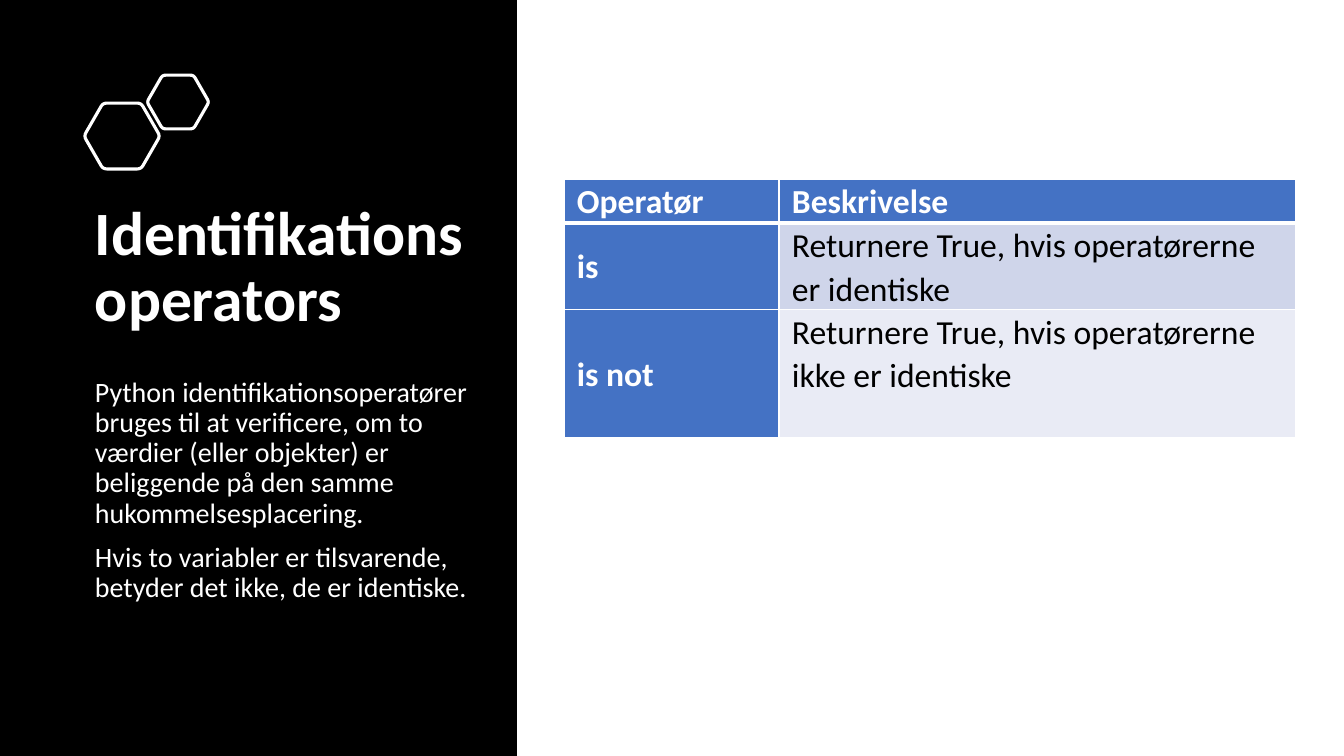
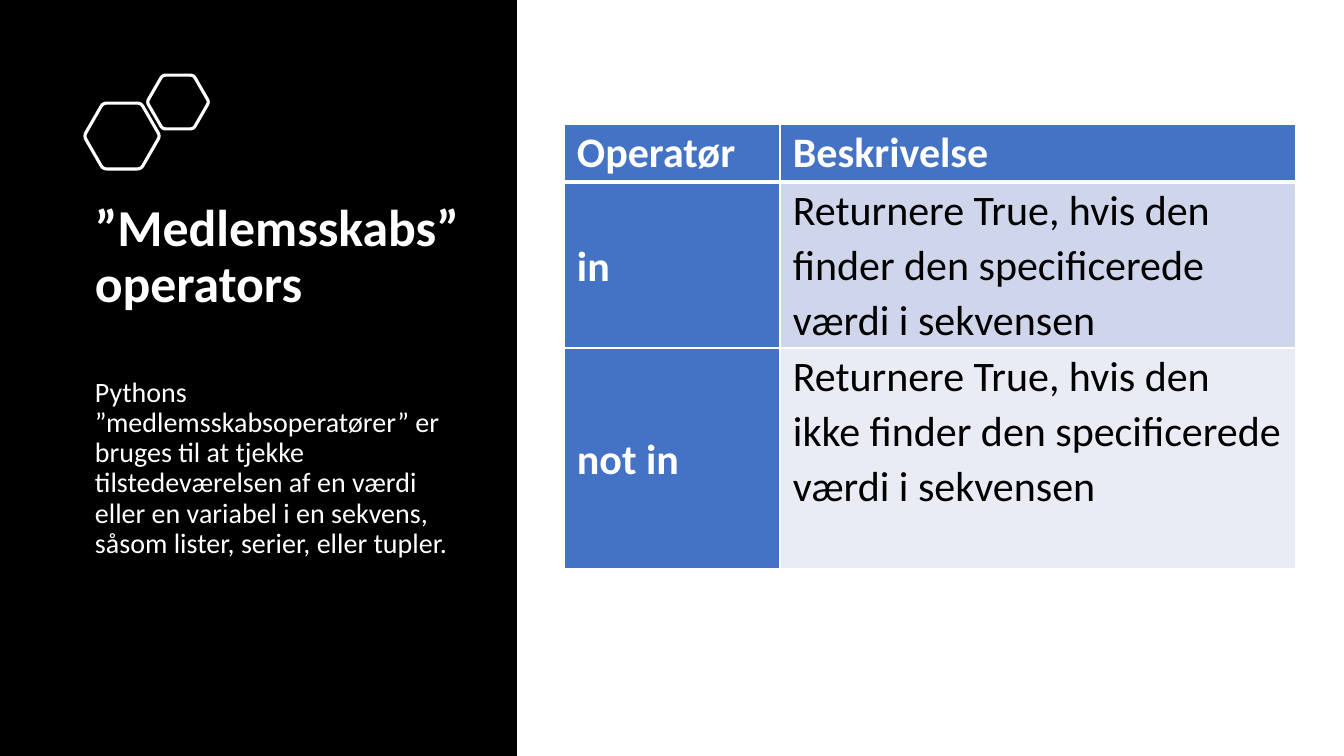
"""Build two slides on Python identity and membership operators."""
from math import cos, radians, sin

from lxml.etree import SubElement
from pptx import Presentation
from pptx.dml.color import RGBColor
from pptx.enum.shapes import MSO_SHAPE
from pptx.enum.text import MSO_ANCHOR
from pptx.oxml.ns import qn
from pptx.util import Emu, Pt

EMU_PER_PX = 914400 / 100.8
FONT = "Calibri"
COLORS = {
    "panel": "000000",
    "light": "FFFFFF",
    "dark": "000000",
    "accent": "4472C4",
    "band_1": "CFD5EA",
    "band_2": "E9EBF5",
}
HEXAGONS = [(122, 136, 38), (178, 102, 31)]
CORNER_CUT = 0.1
TABLE_LEFT = 564
CELL_MARGIN = 13
HEADER = ("Operatør", "Beskrivelse")

SLIDES = [
    {
        "title": "Identifikations operators",
        "title_size": 44,
        "body": "Python identifikationsoperatører bruges til at verificere, om to "
                "værdier (eller objekter) er beliggende på den samme "
                "hukommelsesplacering.\n"
                "Hvis to variabler er tilsvarende, betyder det ikke, de er identiske.",
        "table_top": 179,
        "table_size": 24,
        "columns": (215, 517),
        "rows": (44, 81, 128),
        "cells": [
            HEADER,
            ("is", "Returnere True, hvis operatørerne er identiske"),
            ("is not", "Returnere True, hvis operatørerne ikke er identiske"),
        ],
    },
    {
        "title": "”Medlemsskabs” operators",
        "title_size": 37,
        "body": "Pythons ”medlemsskabsoperatører” er bruges til at tjekke "
                "tilstedeværelsen af en værdi eller en variabel i en sekvens, "
                "såsom lister, serier, eller tupler.",
        "table_top": 124,
        "table_size": 30,
        "columns": (216, 516),
        "rows": (58, 166, 221),
        "cells": [
            HEADER,
            ("in", "Returnere True, hvis den finder den specificerede værdi i sekvensen"),
            ("not in", "Returnere True, hvis den ikke finder den specificerede værdi i sekvensen"),
        ],
    },
]


def px(length):
    return Emu(round(length * EMU_PER_PX))


def write_text(frame, text, *, size, color="light", bold=False, line_spacing=0.9, before=0):
    frame.word_wrap = True
    for index, line in enumerate(text.split("\n")):
        para = frame.paragraphs[0] if index == 0 else frame.add_paragraph()
        para.line_spacing = line_spacing
        para.space_before = Pt(before)
        span = para.add_run()
        span.text = line
        span.font.name = FONT
        span.font.size = Pt(size)
        span.font.bold = bold
        span.font.color.rgb = RGBColor.from_string(COLORS[color])


deck = Presentation()
deck.slide_width, deck.slide_height = px(1344), px(756)

for content in SLIDES:
    page = deck.slides.add_slide(deck.slide_layouts[6])

    panel = page.shapes.add_shape(MSO_SHAPE.RECTANGLE, 0, 0, px(517), px(756))
    panel.shadow.inherit = False
    panel.fill.solid()
    panel.fill.fore_color.rgb = RGBColor.from_string(COLORS["panel"])
    panel.line.fill.background()

    title_box = page.shapes.add_textbox(px(85), px(197), px(395), px(161))
    write_text(title_box.text_frame, content["title"], size=content["title_size"], bold=True)

    hexagon_group = page.shapes.add_group_shape()
    for center_x, center_y, radius in HEXAGONS:
        corners = [
            (center_x + radius * cos(radians(angle)), center_y + radius * sin(radians(angle)))
            for angle in range(0, 360, 60)
        ]
        outline = []
        for index, corner in enumerate(corners):
            previous, following = corners[index - 1], corners[(index + 1) % 6]
            for step in (0, 0.25, 0.5, 0.75, 1):
                toward_previous = CORNER_CUT * (1 - step) ** 2
                toward_following = CORNER_CUT * step ** 2
                outline.append(tuple(
                    px(here + toward_previous * (back - here) + toward_following * (ahead - here))
                    for here, back, ahead in zip(corner, previous, following)
                ))
        builder = hexagon_group.shapes.build_freeform(*outline[0])
        builder.add_line_segments(outline[1:], close=True)
        hexagon = builder.convert_to_shape()
        hexagon.shadow.inherit = False
        hexagon.fill.background()
        hexagon.line.color.rgb = RGBColor.from_string(COLORS["light"])
        hexagon.line.width = Pt(2.25)

    body_box = page.shapes.add_textbox(px(85), px(373), px(395), px(307))
    write_text(body_box.text_frame, content["body"], size=20, before=10)

    table = page.shapes.add_table(
        3, 2, px(TABLE_LEFT), px(content["table_top"]),
        px(sum(content["columns"])), px(sum(content["rows"])),
    ).table
    for column, width in zip(table.columns, content["columns"]):
        column.width = px(width)
    for row, height in zip(table.rows, content["rows"]):
        row.height = px(height)

    for row_index, texts in enumerate(content["cells"]):
        for column_index, text in enumerate(texts):
            cell = table.cell(row_index, column_index)
            is_header = row_index == 0
            is_label = is_header or column_index == 0
            cell.margin_left = cell.margin_right = px(CELL_MARGIN)
            cell.margin_top = cell.margin_bottom = 0
            cell.vertical_anchor = (
                MSO_ANCHOR.MIDDLE if is_label and not is_header else MSO_ANCHOR.TOP
            )
            write_text(
                cell.text_frame, text, size=content["table_size"], bold=is_label,
                color="light" if is_label else "dark", line_spacing=1.07,
            )
            heavy_side = {0: "lnB", 1: "lnT"}.get(row_index)
            properties = cell._tc.get_or_add_tcPr()
            for side in ("lnL", "lnR", "lnT", "lnB"):
                width = Pt(3 if side == heavy_side else 1)
                border = SubElement(properties, qn(f"a:{side}"), w=str(width))
                paint = SubElement(border, qn("a:solidFill"))
                SubElement(paint, qn("a:srgbClr"), val=COLORS["light"])
            cell.fill.solid()
            fill_name = "accent" if is_label else f"band_{row_index}"
            cell.fill.fore_color.rgb = RGBColor.from_string(COLORS[fill_name])

deck.save("out.pptx")
